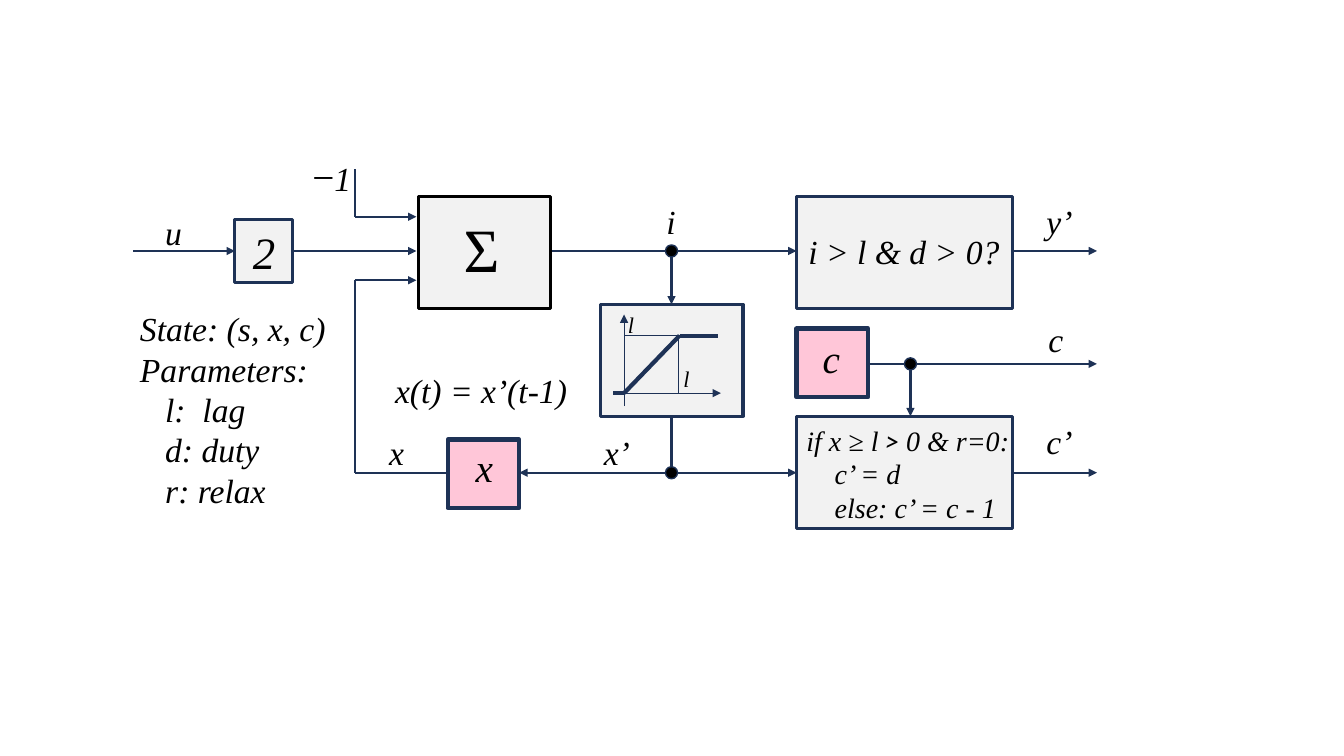
from dataclasses import dataclass

from lxml.etree import SubElement
from pptx import Presentation
from pptx.dml.color import RGBColor
from pptx.enum.shapes import MSO_CONNECTOR, MSO_SHAPE
from pptx.enum.text import MSO_AUTO_SIZE
from pptx.oxml.ns import qn
from pptx.slide import Slide
from pptx.util import Inches, Pt

NAVY = RGBColor(0x1E, 0x32, 0x56)
BLACK = RGBColor(0, 0, 0)
GREY = RGBColor(0xF2, 0xF2, 0xF2)
PINK = RGBColor(0xFF, 0xC6, 0xD8)
SERIF = "Times New Roman"
SANS = "Calibri"

IN_X = 3.52
SUM_X = 4.13
NODE_X = 6.66
RULE_X = 7.9
RULE_W = 2.14
STATE_W = 0.71
STATE_H = 0.68
TALL = 1.11
TAP_X = 9.03
OUT_X = 10.88
TOP_Y = 2.49
MID_Y = 3.61
LOW_Y = 4.69
DOT = 0.12


@dataclass
class Wire:
    x1: float
    y1: float
    x2: float
    y2: float
    tail: bool = True
    head: bool = False
    weight: float = 1.5


@dataclass
class Block:
    x: float
    y: float
    w: float
    h: float
    fill: RGBColor = GREY
    line: RGBColor = NAVY
    weight: float = 2.25
    kind: MSO_SHAPE = MSO_SHAPE.RECTANGLE


@dataclass
class Span:
    text: str
    slant: bool = True
    font: str = SERIF
    size: float = 0


@dataclass
class Row:
    spans: list[Span]
    indent: float = 0


@dataclass
class Label:
    x: float
    y: float
    w: float
    h: float
    size: float
    rows: list[Row]


def row(text: str, indent: float = 0) -> Row:
    return Row([Span(text)], indent)


def word(x: float, y: float, w: float, text: str, size: float = 24, h: float = 0.5) -> Label:
    return Label(x, y, w, h, size, [row(text)])


def dot(x: float, y: float) -> Block:
    return Block(x - DOT / 2, y - DOT / 2, DOT, DOT, BLACK, NAVY, 1, MSO_SHAPE.OVAL)


def draw_wire(slide: Slide, wire: Wire) -> None:
    ends = map(Inches, (wire.x1, wire.y1, wire.x2, wire.y2))
    shape = slide.shapes.add_connector(MSO_CONNECTOR.STRAIGHT, *ends)
    shape.line.color.rgb = NAVY
    shape.line.width = Pt(wire.weight)
    stroke = shape.line._get_or_add_ln()
    for tag, shown in (("a:headEnd", wire.head), ("a:tailEnd", wire.tail)):
        if shown:
            SubElement(stroke, qn(tag), type="triangle")
    SubElement(shape._element.spPr, qn("a:effectLst"))


def draw_block(slide: Slide, block: Block) -> None:
    box = map(Inches, (block.x, block.y, block.w, block.h))
    shape = slide.shapes.add_shape(block.kind, *box)
    shape.shadow.inherit = False
    shape.fill.solid()
    shape.fill.fore_color.rgb = block.fill
    shape.line.color.rgb = block.line
    shape.line.width = Pt(block.weight)


def draw_label(slide: Slide, label: Label) -> None:
    box = map(Inches, (label.x, label.y, label.w, label.h))
    frame = slide.shapes.add_textbox(*box).text_frame
    frame.word_wrap = False
    frame.auto_size = MSO_AUTO_SIZE.SHAPE_TO_FIT_TEXT
    frame.text = "\n".join(line.spans[0].text for line in label.rows)
    for line, para in zip(label.rows, frame.paragraphs):
        if line.indent:
            para._p.get_or_add_pPr().set("marL", str(Inches(line.indent)))
        for span in line.spans[1:]:
            para.add_run().text = span.text
        for span, run in zip(line.spans, para.runs):
            run.font.name = span.font
            run.font.size = Pt(span.size or label.size)
            run.font.italic = span.slant
            run.font.color.rgb = BLACK


WIRES = [
    Wire(1.32, TOP_Y, 2.33, TOP_Y),
    Wire(2.9, TOP_Y, SUM_X, TOP_Y),
    *(Wire(IN_X, y, SUM_X, y) for y in (2.15, 2.78)),
    Wire(IN_X, 2.15, IN_X, 1.68, tail=False),
    Wire(IN_X, LOW_Y, IN_X, 2.78, tail=False),
    Wire(IN_X, LOW_Y, 4.44, LOW_Y, tail=False),
    Wire(5.46, TOP_Y, RULE_X, TOP_Y),
    Wire(NODE_X, TOP_Y, NODE_X, 3.02),
    Wire(NODE_X, LOW_Y, NODE_X, 4.13, tail=False),
    Wire(5.15, LOW_Y, RULE_X, LOW_Y, head=True),
    *(Wire(RULE_X + RULE_W, y, OUT_X, y) for y in (TOP_Y, LOW_Y)),
    Wire(RULE_X + STATE_W, MID_Y, OUT_X, MID_Y),
    Wire(TAP_X, MID_Y, TAP_X, 4.13),
]
BLOCKS = [
    Block(2.33, 2.18, 0.57, 0.62),
    Block(4.15, 1.95, 1.31, TALL, line=BLACK),
    *(Block(RULE_X, y, RULE_W, TALL) for y in (1.95, 4.13)),
    Block(5.96, 3.02, 1.41, TALL),
    *(Block(x, y, STATE_W, STATE_H, PINK, weight=3) for x, y in ((RULE_X, 3.26), (4.44, 4.36))),
]
CURVE = [
    Wire(6.08, 3.9, 7.15, 3.9, weight=0.75),
    Wire(6.19, 4.03, 6.19, 3.12, weight=0.75),
    Wire(6.19, 3.33, 7.02, 3.33, tail=False, weight=0.75),
    Wire(6.73, 3.9, 6.73, 3.33, tail=False, weight=0.75),
    Wire(6.08, 3.9, 6.19, 3.9, tail=False, weight=3),
    Wire(6.19, 3.9, 6.74, 3.33, tail=False, weight=3),
    Wire(6.74, 3.33, 7.12, 3.33, tail=False, weight=3),
]
DOTS = [dot(NODE_X, TOP_Y), dot(NODE_X, LOW_Y), dot(TAP_X, MID_Y)]
TEST = [Span("if x "), Span("≥ ", slant=False), Span("l"), Span(" >", font=SANS), Span(" 0 & r=0:")]
LABELS = [
    Label(4.5, 2.04, 0.64, 0.95, 44, [Row([Span("Σ", slant=False)])]),
    Label(3, 1.46, 0.59, 0.57, 24, [Row([Span("−", slant=False, size=28), Span("1")])]),
    word(2.41, 2.18, 0.43, "2", 32, 0.64),
    word(1.54, 2.05, 0.37, "u"),
    word(6.51, 1.94, 0.29, "i"),
    word(7.92, 2.24, 2.11, "i > l & d > 0?"),
    word(10.28, 1.94, 0.46, "y’"),
    word(10.3, 3.11, 0.35, "c"),
    word(10.28, 4.13, 0.46, "c’"),
    word(5.89, 4.24, 0.46, "x’"),
    word(3.76, 4.24, 0.35, "x"),
    word(3.82, 3.62, 1.92, "x(t) = x’(t-1)"),
    word(6.13, 3.04, 0.27, "l", 16, 0.37),
    word(6.68, 3.57, 0.27, "l", 16, 0.37),
    word(8.06, 3.27, 0.38, "c", 28, 0.57),
    word(4.62, 4.35, 0.38, "x", 28, 0.57),
    Label(RULE_X, 4.15, 2.22, TALL, 20, [Row(TEST), row("c’ = d", 0.28), row("else: c’ = c - 1", 0.28)]),
    Label(1.29, 3.01, 2.06, 2.12, 24, [
        row("State: (s, x, c)"), row("Parameters:"),
        *(row(text, 0.25) for text in ("l:  lag", "d: duty", "r: relax")),
    ]),
]


def main() -> None:
    deck = Presentation()
    deck.slide_width, deck.slide_height = Inches(13.33), Inches(7.5)
    slide = deck.slides.add_slide(deck.slide_layouts[6])
    for wire in WIRES:
        draw_wire(slide, wire)
    for block in BLOCKS:
        draw_block(slide, block)
    for wire in CURVE:
        draw_wire(slide, wire)
    for block in DOTS:
        draw_block(slide, block)
    for label in LABELS:
        draw_label(slide, label)
    deck.save("out.pptx")


if __name__ == "__main__":
    main()
